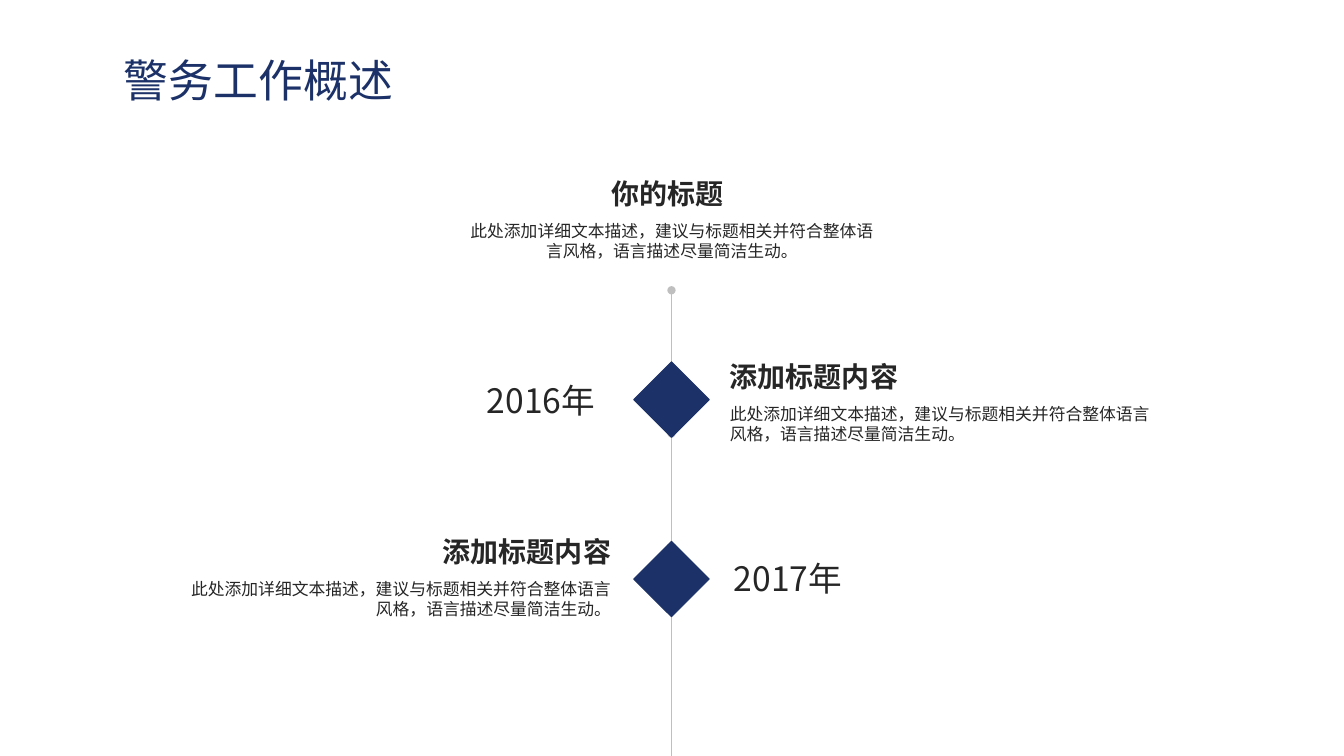
from pptx import Presentation
from pptx.dml.color import RGBColor as RGB
from pptx.enum.shapes import MSO_CONNECTOR as CONN, MSO_SHAPE as SHAPE
from pptx.enum.text import MSO_ANCHOR as ANCHOR, MSO_AUTO_SIZE as FIT, PP_ALIGN as ALIGN
from pptx.oxml.ns import qn
from pptx.util import Inches, Pt
from lxml.etree import SubElement

COLORS = {"navy": "1B3168", "ink": "262626", "grey": "BFBFBF"}
FORMATS = {
    "title": {"size": Pt(32), "color": "navy"},
    "head": {"size": Pt(20), "color": "ink", "bold": True},
    "body": {"size": Pt(12), "color": "ink"},
    "year": {"size": Pt(24), "color": "ink"},
}
FONT = "Noto Sans CJK SC"
LEAD = 1.21  # line height as a multiple of the font size
AXIS = 6.66
SIDE = 0.53
BODY = "此处添加详细文本描述，建议与标题相关并符合整体语言风格，语言描述尽量简洁生动。"


class Deck:
    """Holds the style and the current slide."""

    def __init__(self):
        self.prs = Presentation()
        self.prs.slide_width, self.prs.slide_height = Inches(13.33), Inches(7.5)
        self.slide = self.prs.slides.add_slide(self.prs.slide_layouts[6])

    def color(self, name):
        return RGB.from_string(COLORS[name])

    def text(self, words, x, y, w, h, style, align=ALIGN.LEFT):
        box = self.slide.shapes.add_textbox(*map(Inches, (x, y, w, h)))
        frame = box.text_frame
        frame.word_wrap = True
        para = frame.paragraphs[0]
        para.alignment = align
        run = para.add_run()
        run.text = words
        run.font.name = FONT
        for key, val in FORMATS[style].items():
            if key == "color":
                run.font.color.rgb = self.color(val)
            else:
                setattr(run.font, key, val)
        SubElement(run.font._element, qn("a:ea")).set("typeface", FONT)
        if style == "title":
            frame.vertical_anchor = ANCHOR.MIDDLE
            frame.margin_left = frame.margin_right = Inches(0.07)
            frame.margin_top = frame.margin_bottom = Inches(0.04)
        else:
            frame.auto_size = FIT.SHAPE_TO_FIT_TEXT
            para.line_spacing = Pt(FORMATS[style]["size"].pt * LEAD)

    def line(self, top, end, tips=True):
        """Draw a stretch of the time axis, with a dot and an arrow if tips."""
        ends = map(Inches, (AXIS, top, AXIS, end))
        conn = self.slide.shapes.add_connector(CONN.STRAIGHT, *ends)
        conn.line.color.rgb = self.color("grey")
        conn.line.width = Pt(0.5)
        if tips:
            ln = conn.line._get_or_add_ln()
            SubElement(ln, qn("a:headEnd")).set("type", "oval")
            SubElement(ln, qn("a:tailEnd")).set("type", "triangle")
        SubElement(conn._element.spPr, qn("a:effectLst"))

    def diamond(self, y):
        place = map(Inches, (AXIS - SIDE / 2, y, SIDE, SIDE))
        mark = self.slide.shapes.add_shape(SHAPE.RECTANGLE, *place)
        mark.rotation = 45
        mark.shadow.inherit = False
        mark.fill.solid()
        mark.fill.fore_color.rgb = mark.line.color.rgb = self.color("navy")
        mark.line.width = Pt(0.75)

    def entry(self, head, y, spans, align):
        """Set a heading over its body; spans gives left and width of each."""
        rows = ((head, y, 0.44, "head"), (BODY, y + 0.44, 0.5, "body"))
        for (words, top, high, style), (x, w) in zip(rows, spans):
            self.text(words, x, top, w, high, style, align)


def main():
    deck = Deck()
    deck.text("警务工作概述", 1.16, 0.55, 4.33, 0.47, "title")
    for top, end, tips in ((2.88, 3.75, True), (4.3, 5.48, True), (5.99, 7.5, False)):
        deck.line(top, end, tips)
    for y in (3.7, 5.48):
        deck.diamond(y)
    for head, y, spans, align in (
        ("你的标题", 1.7, ((5.14, 2.97), (4.54, 4.25)), ALIGN.CENTER),
        ("添加标题内容", 3.51, ((7.14, 2.97), (7.14, 4.45)), ALIGN.LEFT),
        ("添加标题内容", 5.25, ((3.19, 2.97), (1.71, 4.45)), ALIGN.RIGHT),
    ):
        deck.entry(head, y, spans, align)
    for year, x, y in (("2016年", 4.22, 3.72), ("2017年", 6.67, 5.48)):
        deck.text(year, x, y, 2.29, 0.5, "year", ALIGN.CENTER)
    deck.prs.save("out.pptx")


if __name__ == "__main__":
    main()
